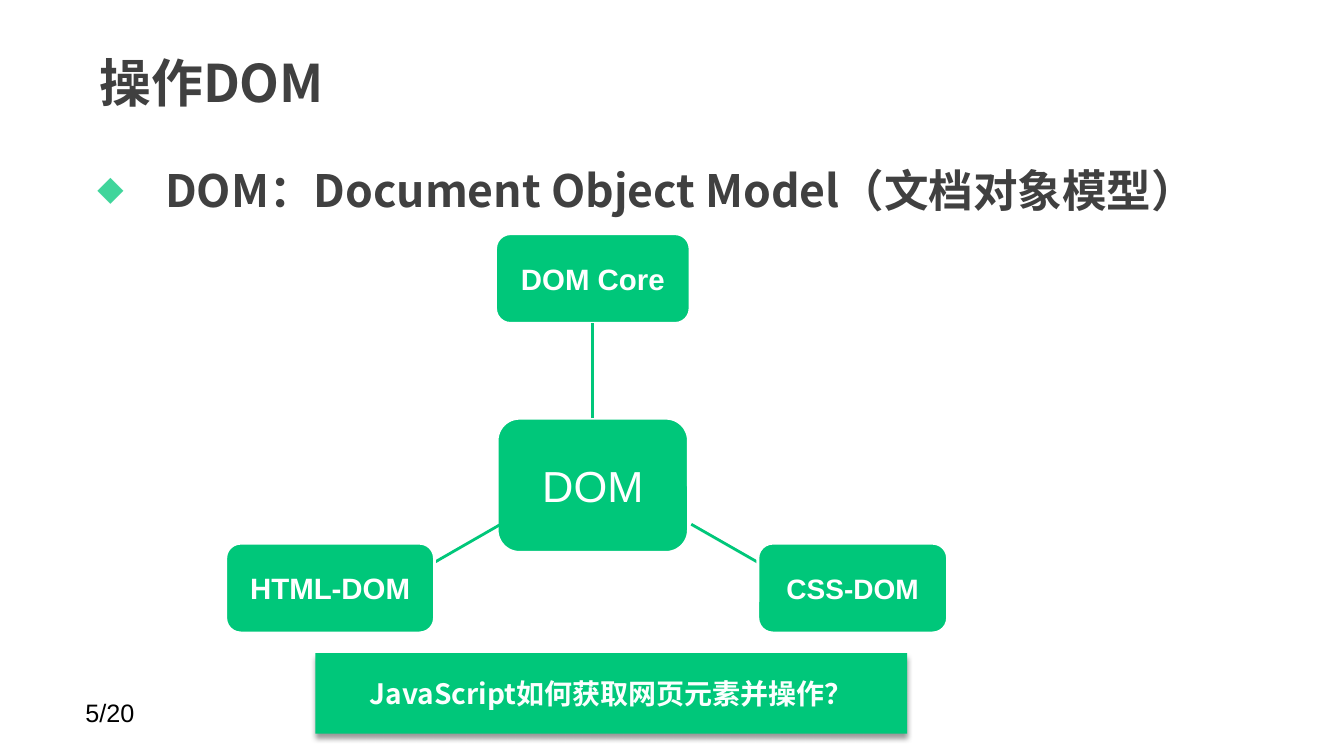
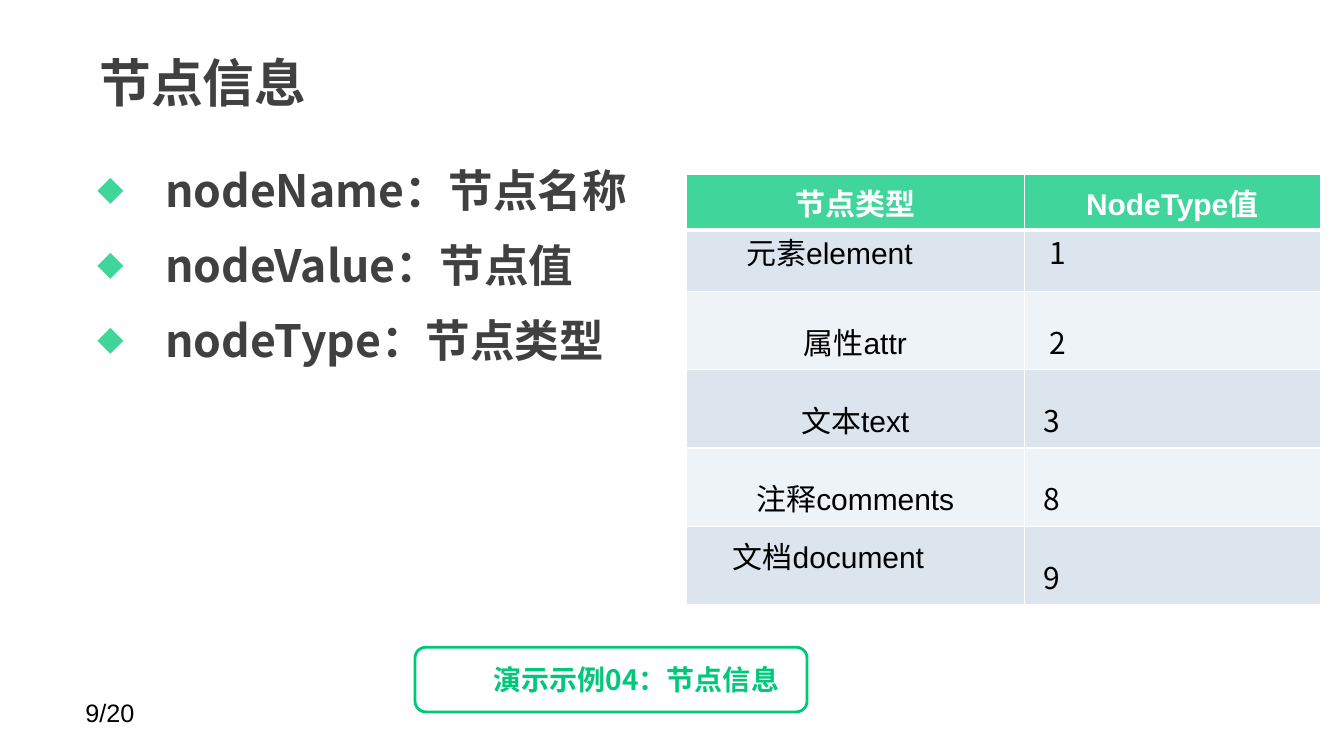
"""Build two slides on the DOM: its parts, and the facts each node holds."""
from dataclasses import dataclass

from lxml import etree
from pptx import Presentation
from pptx import util as u
from pptx.dml.color import RGBColor
from pptx.enum import shapes, text
from pptx.oxml import ns

HUES = {
    "green": "00C77A",
    "mint": "40D59B",
    "ink": "404040",
    "black": "000000",
    "white": "FFFFFF",
    "snow": "FBFFFE",
    "dark": "DCE5EE",
    "light": "EEF3F7",
}
SANS, HAN = "Arial", "Noto Sans CJK SC"
LEFT, MID, JUST = text.PP_ALIGN.LEFT, text.PP_ALIGN.CENTER, text.PP_ALIGN.JUSTIFY
RECT, ROUND = shapes.MSO_SHAPE.RECTANGLE, shapes.MSO_SHAPE.ROUNDED_RECTANGLE
PAD = (0.33, 0.15, 0.33, 0.15)


@dataclass(frozen=True)
class Box:
    left: float
    top: float
    width: float
    height: float

    def cm(self) -> list[u.Cm]:
        return [u.Cm(v) for v in (self.left, self.top, self.width, self.height)]


@dataclass(frozen=True)
class Font:
    size: float
    hue: str
    bold: bool = False
    face: str = HAN


@dataclass(frozen=True)
class Node:
    name: str
    box: Box
    font: Font


@dataclass(frozen=True)
class Wire:
    start: tuple[float, float]
    end: tuple[float, float]


@dataclass(frozen=True)
class Item:
    words: str
    align: text.PP_ALIGN = LEFT
    lead: float | u.Pt = 1.5
    shift: float = 0.0
    face: str = SANS


HEAD = Font(37, "ink", True)
BODY = Font(31.8, "ink", True)
PAGE = Font(18, "black", face=SANS)
LEAF = Font(21, "white", True, SANS)

HUB = Node("DOM", Box(12.53, 10.54, 4.82, 3.38), Font(31, "white", face=SANS))
CORE = Node("DOM Core", Box(12.49, 5.89, 4.9, 2.26), LEAF)
SIDES = [
    Node("CSS-DOM", Box(19.1, 13.69, 4.78, 2.26), Font(20, "white", True, SANS)),
    Node("HTML-DOM", Box(5.69, 13.69, 5.26, 2.26), LEAF),
]
WIRES = [
    Wire((17.42, 13.21), (19.1, 14.17)),
    Wire((12.62, 13.21), (10.95, 14.17)),
]

TIGHT = u.Pt(17)
ROWS = [
    (Item("元素element", JUST, TIGHT, 1.18), Item("1", JUST, TIGHT, 0.3, HAN)),
    (Item("属性attr", MID), Item("2", shift=0.3, face=HAN)),
    (Item("文本text", MID), Item("3", shift=0.15, face=HAN)),
    (Item("注释comments", MID), Item("8", shift=0.15, face=HAN)),
    (Item("文档document", JUST, TIGHT, 0.84), Item("9", shift=0.15, face=HAN)),
]


def tint(name: str) -> RGBColor:
    return RGBColor.from_string(HUES[name])


def add(top, tag: str, **attrs: str):
    return etree.SubElement(top, ns.qn(tag), attrs)


def ink(host, tag: str, hue: str):
    part = add(host, tag)
    add(part, "a:srgbClr", val=HUES[hue])
    return part


def style(para, font: Font) -> None:
    for run in para.runs:
        run.font.size = u.Pt(font.size)
        run.font.bold = font.bold
        run.font.name = font.face
        run.font.color.rgb = tint(font.hue)
        add(run.font._element, "a:ea", typeface=HAN)


def inset(host, pad: tuple[float, ...]) -> None:
    sides = ("margin_left", "margin_top", "margin_right", "margin_bottom")
    for side, size in zip(sides, pad):
        setattr(host, side, u.Cm(size))


def write(shape, words: str, font: Font, align=LEFT, pad=None, mid: bool = False) -> None:
    frame = shape.text_frame
    frame.word_wrap = True
    frame.vertical_anchor = text.MSO_ANCHOR.MIDDLE if mid else text.MSO_ANCHOR.TOP
    if pad:
        inset(frame, pad)
    frame.text = words
    for para in frame.paragraphs:
        para.alignment = align
        style(para, font)


def label(slide, box: Box, words: str, font: Font, pad=None, mid: bool = False):
    shape = slide.shapes.add_textbox(*box.cm())
    write(shape, words, font, pad=pad, mid=mid)
    return shape


def block(slide, kind, box: Box, fill: str | None, line: str | None):
    shape = slide.shapes.add_shape(kind, *box.cm())
    shape.shadow.inherit = False
    if fill:
        shape.fill.solid()
        shape.fill.fore_color.rgb = tint(fill)
    else:
        shape.fill.background()
    if line:
        shape.line.color.rgb = tint(line)
        shape.line.width = u.Pt(2)
    else:
        shape.line.fill.background()
    return shape


def node(slide, spec_: Node):
    shape = block(slide, ROUND, spec_.box, "green", "white")
    write(shape, spec_.name, spec_.font, MID, (0.15,) * 4, True)
    return shape


def wire(slide, link: Wire):
    ends = [u.Cm(v) for v in (*link.start, *link.end)]
    line = slide.shapes.add_connector(shapes.MSO_CONNECTOR.STRAIGHT, *ends)
    line.line.color.rgb = tint("green")
    line.line.width = u.Pt(2)
    add(line._element.spPr, "a:effectLst")
    return line


def shade(shape) -> None:
    glow = shape._element.spPr.find(ns.qn("a:effectLst"))
    drop = add(glow, "a:outerShdw", blurRad=str(u.Pt(4)), dist=str(u.Pt(3)),
               dir="5400000", rotWithShape="0")
    hue = add(drop, "a:srgbClr", val=HUES["black"])
    add(hue, "a:alpha", val="40000")


def base(deck, title: str, page: int, points: list[str]):
    slide = deck.slides.add_slide(deck.slide_layouts[6])
    label(slide, Box(1.9, 17.45, 5.92, 1.02), f"{page}/20", PAGE)
    label(slide, Box(2.18, 0.76, 26.44, 2.62), title, HEAD, PAD, True)
    body = label(slide, Box(2.13, 3.63, 29.69, 13.39), "\n".join(points), BODY, PAD)
    for para in body.text_frame.paragraphs:
        para.line_spacing = 1.24
        para.space_before = u.Pt(6.4)
        props = para._p.get_or_add_pPr()
        props.set("marL", str(u.Cm(1.7)))
        props.set("indent", str(u.Cm(-1.7)))
        ink(props, "a:buClr", "mint")
        add(props, "a:buSzPct", val="60000")
        add(props, "a:buFont", typeface=HAN)
        add(props, "a:buChar", char="◆")
    return slide


def fill(cell, item: Item, font: Font, back: str, base_line: float = 1) -> None:
    props = cell._tc.get_or_add_tcPr()
    for tag, width in (("a:lnL", 1), ("a:lnR", 1), ("a:lnT", 1), ("a:lnB", base_line)):
        ink(add(props, tag, w=str(u.Pt(width))), "a:solidFill", "white")
    cell.fill.solid()
    cell.fill.fore_color.rgb = tint(back)
    cell.vertical_anchor = text.MSO_ANCHOR.MIDDLE
    inset(cell, (0.33, 0.17, 0.33, 0.17))
    cell.text_frame.text = item.words
    para = cell.text_frame.paragraphs[0]
    para.alignment = item.align
    para.line_spacing = item.lead
    para._p.get_or_add_pPr().set("marL", str(u.Cm(item.shift)))
    style(para, font)


def grid(slide) -> None:
    highs = [1.4, 1.55] + [1.97] * 4
    wides = [8.51, 7.46]
    box = Box(17.3, 4.4, sum(wides), sum(highs))
    table = slide.shapes.add_table(len(highs), len(wides), *box.cm()).table
    for col, wide in zip(table.columns, wides):
        col.width = u.Cm(wide)
    for row, high in zip(table.rows, highs):
        row.height = u.Cm(high)
    for col, words in enumerate(("节点类型", "NodeType值")):
        fill(table.cell(0, col), Item(words, MID, 1.0),
             Font(21.4, "white", True, SANS), "mint", 3)
    for row, items in enumerate(ROWS, 1):
        back = "dark" if row % 2 else "light"
        for col, item in enumerate(items):
            fill(table.cell(row, col), item, Font(21.4, "black", face=item.face), back)


def model(deck) -> None:
    slide = base(deck, "操作DOM", 5, ["DOM：Document Object Model（文档对象模型）"])
    hub, core = node(slide, HUB), node(slide, CORE)
    stem = wire(slide, Wire((14.94, 10.54), (14.94, 8.15)))
    stem.begin_connect(hub, 0)
    stem.end_connect(core, 2)
    for link, side in zip(WIRES, SIDES):
        wire(slide, link)
        node(slide, side)
    strip = block(slide, RECT, Box(7.95, 16.46, 14.91, 2.03), "green", None)
    shade(strip)
    write(strip, "JavaScript如何获取网页元素并操作？", Font(20, "snow", True), MID, mid=True)


def facts(deck) -> None:
    slide = base(deck, "节点信息", 9,
                 ["nodeName：节点名称", "nodeValue：节点值", "nodeType：节点类型"])
    grid(slide)
    demo = block(slide, ROUND, Box(10.46, 16.31, 9.88, 1.63), None, "green")
    write(demo, "演示示例04：节点信息", Font(20, "green", True),
          pad=(1.9, 0.13, 0, 0.13), mid=True)


def main() -> None:
    deck = Presentation()
    deck.slide_width, deck.slide_height = u.Cm(33.87), u.Cm(19.05)
    model(deck)
    facts(deck)
    deck.save("out.pptx")


if __name__ == "__main__":
    main()
